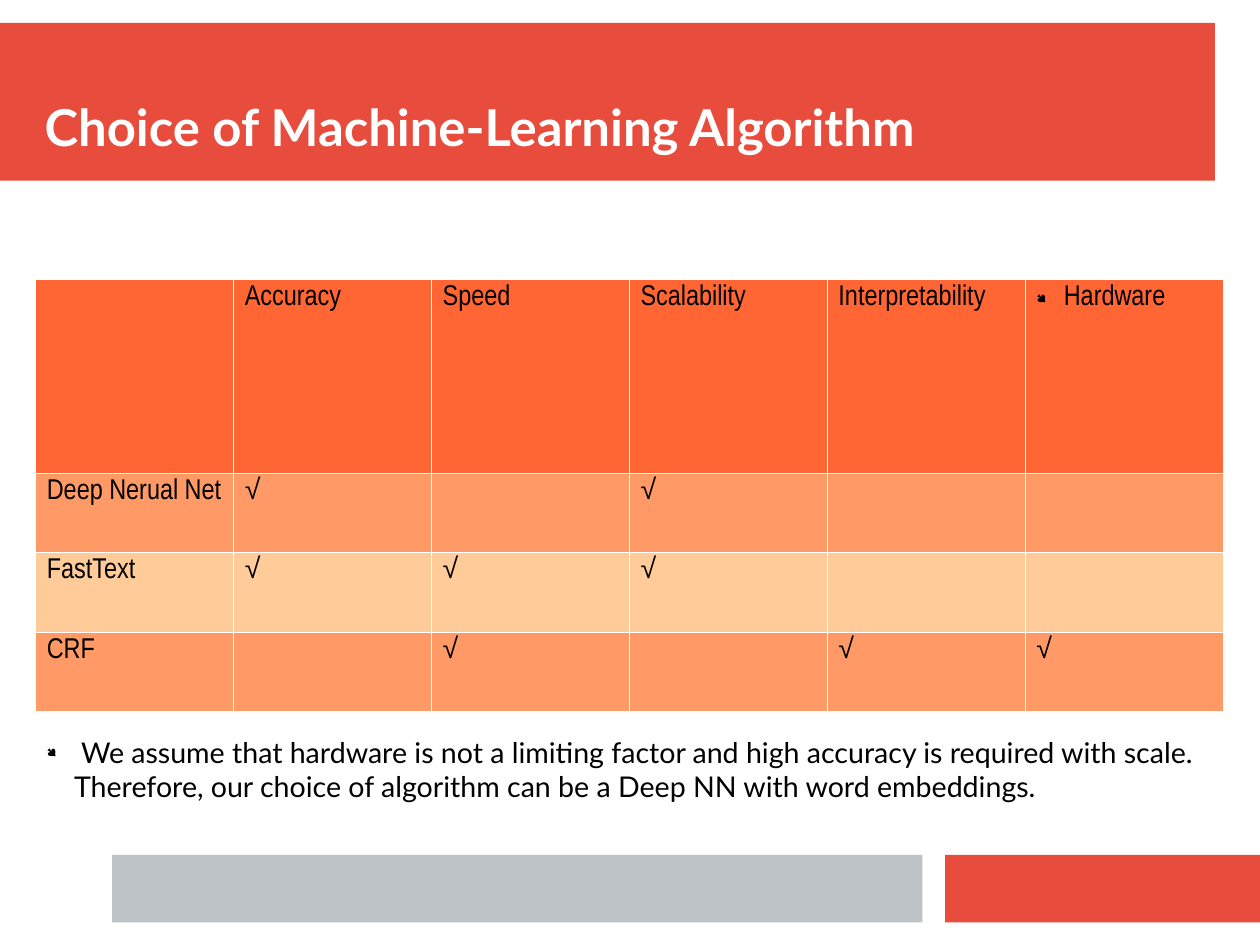
from dataclasses import dataclass

from lxml.etree import SubElement
from pptx import Presentation
from pptx.dml.color import RGBColor
from pptx.enum.shapes import MSO_SHAPE
from pptx.enum.text import MSO_ANCHOR, MSO_AUTO_SIZE, PP_ALIGN
from pptx.oxml.ns import qn
from pptx.util import Inches, Pt


@dataclass(frozen=True)
class Theme:
    red: str = "E74C3C"
    gray: str = "BDC3C7"
    white: str = "FFFFFF"
    black: str = "000000"
    header: str = "FF6633"
    bands: tuple = ("FF9966", "FFCC99")
    text_font: str = "Lato"
    table_font: str = "Arial Narrow"
    bullet_font: str = "Wingdings"
    title_size: int = 32
    text_size: int = 18
    border_width: float = 0.06


THEME = Theme()
CM_PER_INCH = 2.54
TICK = "√"
CRITERIA = ["Accuracy", "Speed", "Scalability", "Interpretability", "Hardware"]
STRENGTHS = {
    "Deep Nerual Net": {"Accuracy", "Scalability"},
    "FastText": {"Accuracy", "Speed", "Scalability"},
    "CRF": {"Speed", "Interpretability", "Hardware"},
}
CONCLUSION = (
    " We assume that hardware is not a limiting factor and high accuracy is "
    "required with scale. Therefore, our choice of algorithm can be a Deep NN "
    "with word embeddings."
)


def rgb(color):
    return RGBColor.from_string(color)


def add_span(para, text, font, size, color, bold=False):
    span = para.add_run()
    span.text = text
    span.font.name = font
    span.font.size = Pt(size)
    span.font.bold = bold
    span.font.color.rgb = rgb(color)


def add_bullet(para):
    props = para._p.get_or_add_pPr()
    props.set("marL", str(Inches(0.24)))
    props.set("indent", str(Inches(-0.24)))
    color = SubElement(props, qn("a:buClr"))
    SubElement(color, qn("a:srgbClr"), val=THEME.black)
    SubElement(props, qn("a:buSzPct"), val="45000")
    SubElement(props, qn("a:buFont"), typeface=THEME.bullet_font, charset="2")
    SubElement(props, qn("a:buChar"), char="●")


def add_bar(page, left, top, width, height, color):
    bar = page.shapes.add_shape(
        MSO_SHAPE.RECTANGLE, Inches(left), Inches(top), Inches(width), Inches(height)
    )
    bar.shadow.inherit = False
    bar.fill.solid()
    bar.fill.fore_color.rgb = rgb(color)
    bar.line.fill.background()


def set_title(page, text):
    title = page.shapes.title
    title.left, title.top = Inches(0.39), Inches(0.39)
    title.width, title.height = Inches(10.24), Inches(0.98)
    frame = title.text_frame
    frame.margin_left = frame.margin_right = 0
    frame.margin_top = frame.margin_bottom = 0
    frame.vertical_anchor = MSO_ANCHOR.BOTTOM
    frame.word_wrap = True
    frame.auto_size = MSO_AUTO_SIZE.NONE
    para = frame.paragraphs[0]
    para.alignment = PP_ALIGN.LEFT
    add_span(para, text, THEME.text_font, THEME.title_size, THEME.white, bold=True)
    # Bring the title in front of the red bar
    title.element.getparent().append(title.element)


def style_cell(cell, color):
    props = cell._tc.get_or_add_tcPr()
    for side in ("lnL", "lnR", "lnT", "lnB"):
        line = SubElement(props, qn(f"a:{side}"), w=str(Pt(THEME.border_width)))
        fill = SubElement(line, qn("a:solidFill"))
        SubElement(fill, qn("a:srgbClr"), val=THEME.white)
    cell.fill.solid()
    cell.fill.fore_color.rgb = rgb(color)


def add_comparison_table(page):
    rows = [["", *CRITERIA]]
    for name, strengths in STRENGTHS.items():
        rows.append([name, *(TICK if item in strengths else "" for item in CRITERIA)])
    width, height, header_height = Inches(10.39), Inches(3.78), Inches(1.7)
    table = page.shapes.add_table(
        len(rows), len(rows[0]), Inches(0.31), Inches(2.44), width, height
    ).table
    for column in table.columns:
        column.width = width // len(rows[0])
    body_height = (height - header_height) // len(STRENGTHS)
    for index, texts in enumerate(rows):
        table.rows[index].height = body_height if index else header_height
        color = THEME.bands[(index - 1) % 2] if index else THEME.header
        for cell, text in zip(table.rows[index].cells, texts):
            style_cell(cell, color)
            if text:
                para = cell.text_frame.paragraphs[0]
                add_span(para, text, THEME.table_font, THEME.text_size, THEME.black)
    # The last heading carries a bullet
    add_bullet(table.cell(0, len(CRITERIA)).text_frame.paragraphs[0])


def add_conclusion(page, text):
    box = page.shapes.add_textbox(
        Inches(0.31), Inches(6.38), Inches(10.55), Inches(0.73)
    )
    frame = box.text_frame
    frame.word_wrap = True
    frame.auto_size = MSO_AUTO_SIZE.SHAPE_TO_FIT_TEXT
    para = frame.paragraphs[0]
    add_bullet(para)
    add_span(para, text, THEME.text_font, THEME.text_size, THEME.black)


def main():
    # The page measures 28 by 21 cm
    deck = Presentation()
    deck.slide_width = Inches(28 / CM_PER_INCH)
    deck.slide_height = Inches(21 / CM_PER_INCH)
    page = deck.slides.add_slide(deck.slide_layouts.get_by_name("Title Only"))

    # Header and footer bars
    add_bar(page, 0, 0.2, 10.63, 1.38, THEME.red)
    add_bar(page, 8.27, 7.48, 2.76, 0.59, THEME.red)
    add_bar(page, 0.98, 7.48, 7.09, 0.59, THEME.gray)

    # Content
    set_title(page, "Choice of Machine-Learning Algorithm")
    add_comparison_table(page)
    add_conclusion(page, CONCLUSION)
    deck.save("out.pptx")


main()
